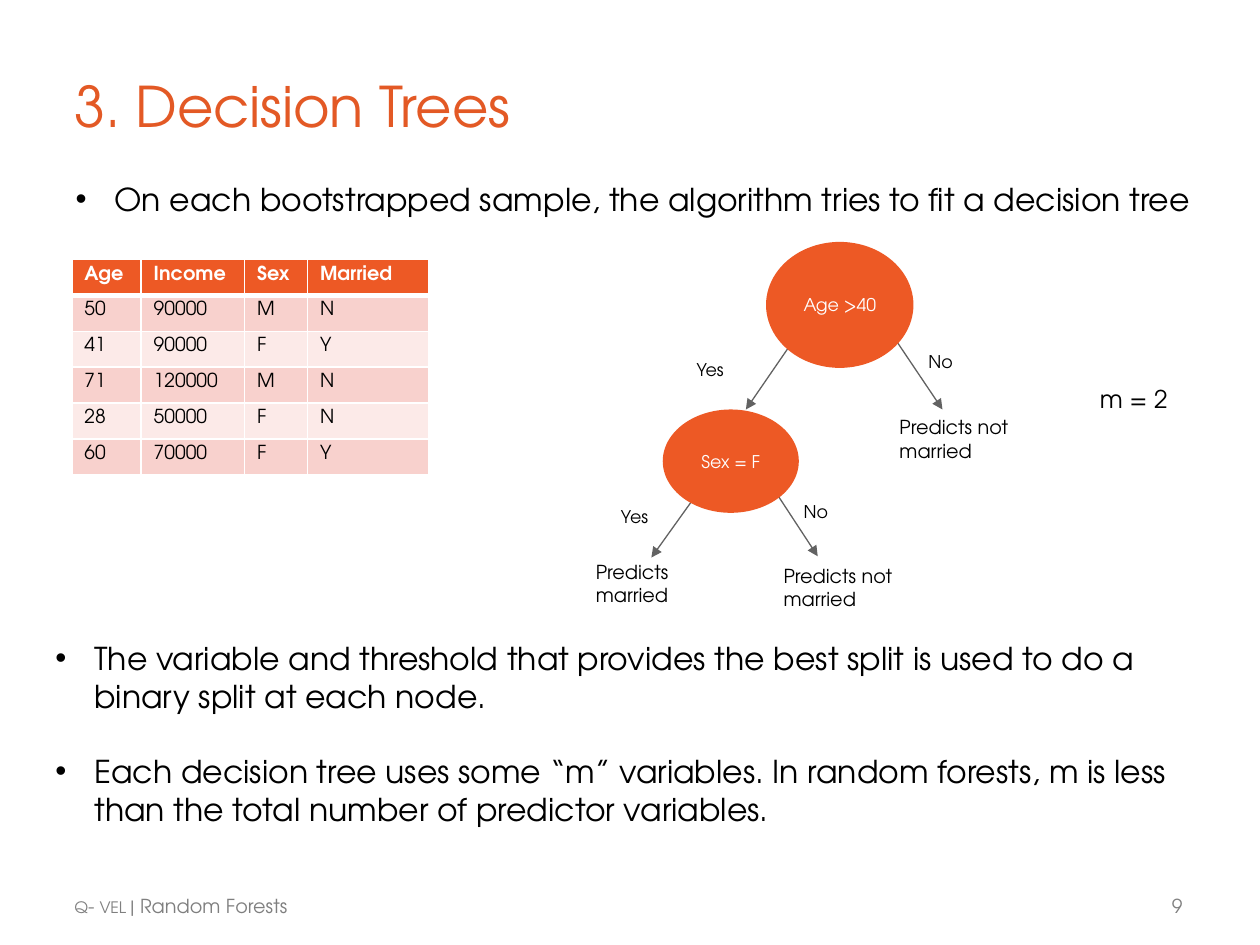
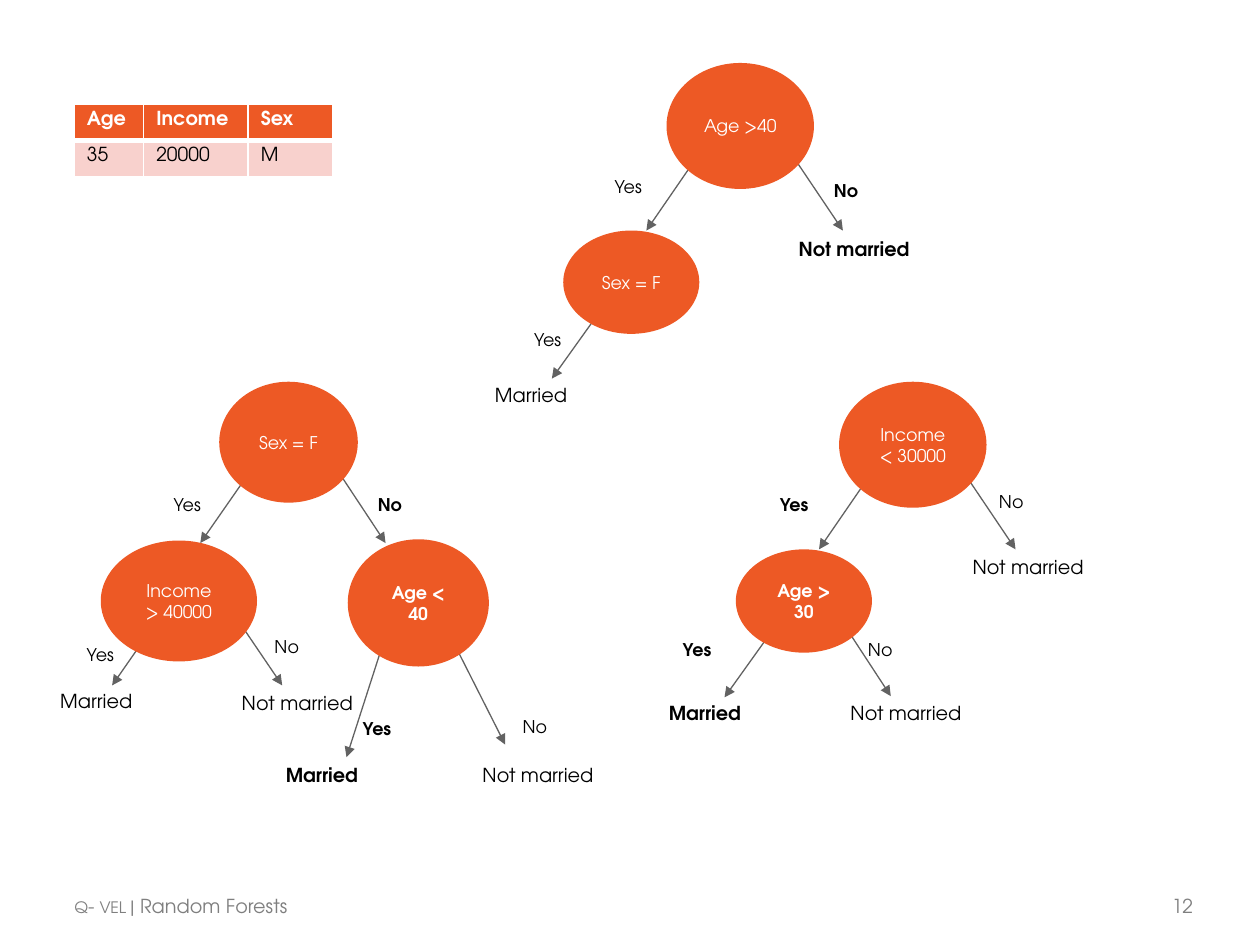
from lxml.etree import SubElement
from pptx import Presentation
from pptx.dml.color import RGBColor
from pptx.enum.shapes import MSO_CONNECTOR, MSO_SHAPE
from pptx.enum.text import MSO_ANCHOR, MSO_AUTO_SIZE, PP_ALIGN
from pptx.oxml import parse_xml
from pptx.oxml.ns import nsdecls, qn
from pptx.util import Inches, Pt

FONT = "TeX Gyre Adventor"
ORANGE = RGBColor(0xED, 0x59, 0x25)
TITLE_ORANGE = RGBColor(0xE3, 0x59, 0x25)
PINK = RGBColor(0xF8, 0xD1, 0xCD)
PALE_PINK = RGBColor(0xFC, 0xEA, 0xE8)
ARROW_GRAY = RGBColor(0x62, 0x62, 0x62)
FOOTER_GRAY = RGBColor(0x7F, 0x7F, 0x7F)
BLACK = RGBColor(0, 0, 0)
WHITE = RGBColor(0xFF, 0xFF, 0xFF)

COLUMNS, ROWS = 100, 75
TWO_LISTS, BLANK = 3, 6
ANSWER_SIZE, LEAF_SIZE = 10, 11
ROW_HEIGHT = 2.85


def write(paragraph, text, size=11, color=BLACK, bold=False, spacing=0):
    run = paragraph.add_run()
    run.text = text
    run.font.name = FONT
    run.font.size = Pt(size)
    run.font.bold = bold
    run.font.color.rgb = color
    if spacing:
        run.font._element.set("spc", str(spacing))


class Deck:
    def __init__(self):
        self.presentation = Presentation()
        self.presentation.slide_width = Inches(10)
        self.presentation.slide_height = Inches(7.5)
        self.column = self.presentation.slide_width / COLUMNS
        self.row = self.presentation.slide_height / ROWS
        self.slide = None

    def place(self, left, top, width, height):
        return (round(left * self.column), round(top * self.row),
                round(width * self.column), round(height * self.row))

    def new_slide(self, layout, number, number_width):
        self.slide = self.presentation.slides.add_slide(
            self.presentation.slide_layouts[layout])
        footer = self.text_box(5.9, 70.9, 21.2, 2, flush=True)
        for text, size, spacing in (("Q", 9, -10), ("- ", 11, -10),
                                    ("VEL ", 9, -10), ("| Random Forests", 11, 0)):
            write(footer, text, size=size, color=FOOTER_GRAY, spacing=spacing)
        page = self.text_box(93, 70.9, number_width, 2, flush=True)
        write(page, str(number), color=FOOTER_GRAY)

    def flush_frame(self, frame, top=0.01):
        frame.margin_left = frame.margin_right = frame.margin_bottom = 0
        frame.margin_top = Inches(top)

    def text_box(self, left, top, width, height, flush=False):
        shape = self.slide.shapes.add_textbox(*self.place(left, top, width, height))
        frame = shape.text_frame
        frame.word_wrap = True
        frame.auto_size = MSO_AUTO_SIZE.SHAPE_TO_FIT_TEXT
        if flush:
            self.flush_frame(frame)
            frame.paragraphs[0].space_before = Pt(1)
        return frame.paragraphs[0]

    def placeholder(self, index, left, top, width, height, inset):
        shape = self.slide.placeholders[index]
        shape.left, shape.top, shape.width, shape.height = self.place(
            left, top, width, height)
        frame = shape.text_frame
        self.flush_frame(frame, inset)
        frame.word_wrap = True
        frame.auto_size = MSO_AUTO_SIZE.NONE
        frame.vertical_anchor = MSO_ANCHOR.TOP
        return frame

    def title(self, text):
        frame = self.placeholder(0, 5.9, 5.6, 57.5, 5.5, 0.01)
        paragraph = frame.paragraphs[0]
        paragraph.alignment = PP_ALIGN.LEFT
        paragraph.space_before = Pt(1)
        write(paragraph, text, size=32, color=TITLE_ORANGE, spacing=-10)

    def bullets(self, index, left, top, height, items):
        frame = self.placeholder(index, left, top, 89.1, height, 0.18)
        for position, item in enumerate(items):
            paragraph = frame.add_paragraph() if position else frame.paragraphs[0]
            paragraph.space_before = Pt(21.5 if position else 0)
            properties = paragraph._p.get_or_add_pPr()
            properties.set("marL", str(Inches(0.31)))
            properties.set("indent", str(-Inches(0.31)))
            SubElement(properties, qn("a:buFont"), typeface="Arial")
            SubElement(properties, qn("a:buChar"), char="•")
            write(paragraph, item, size=18)

    def border(self, cell, top, bottom):
        properties = cell._tc.get_or_add_tcPr()
        sides = (("lnL", 1), ("lnR", 1), ("lnT", top), ("lnB", bottom))
        for position, (side, width) in enumerate(sides):
            properties.insert(position, parse_xml(
                f'<a:{side} {nsdecls("a")} w="{Pt(width)}"><a:solidFill>'
                f'<a:srgbClr val="{WHITE}"/></a:solidFill></a:{side}>'))

    def table(self, left, top, widths, records):
        shape = self.slide.shapes.add_table(
            len(records), len(widths),
            *self.place(left, top, sum(widths), ROW_HEIGHT * len(records)))
        table = shape.table
        table.horz_banding = False
        for column, width in zip(table.columns, widths):
            column.width = round(width * self.column)
        for index, record in enumerate(records):
            header = index == 0
            fill = ORANGE if header else PINK if index % 2 else PALE_PINK
            for cell, text in zip(table.rows[index].cells, record):
                cell.fill.solid()
                cell.fill.fore_color.rgb = fill
                self.border(cell, 3 if index == 1 else 1, 3 if header else 1)
                write(cell.text_frame.paragraphs[0], text,
                      color=WHITE if header else BLACK, bold=header)

    def arrow(self, start_x, start_y, end_x, end_y):
        start = self.place(start_x, start_y, 0, 0)[:2]
        end = self.place(end_x, end_y, 0, 0)[:2]
        connector = self.slide.shapes.add_connector(
            MSO_CONNECTOR.STRAIGHT, *start, *end)
        connector.line.color.rgb = ARROW_GRAY
        connector.line.width = Pt(0.75)
        SubElement(connector.line._get_or_add_ln(), qn("a:tailEnd"), type="triangle")
        SubElement(connector._element.spPr, qn("a:effectLst"))

    def node(self, text, left, top, width, height, bold=False, margin=1):
        shape = self.slide.shapes.add_shape(
            MSO_SHAPE.OVAL, *self.place(left, top, width, height))
        shape.shadow.inherit = False
        shape.fill.solid()
        shape.fill.fore_color.rgb = ORANGE
        shape.line.fill.background()
        frame = shape.text_frame
        frame.word_wrap = True
        frame.margin_left = frame.margin_right = round(margin * self.column)
        frame.vertical_anchor = MSO_ANCHOR.MIDDLE
        frame.paragraphs[0].alignment = PP_ALIGN.CENTER
        write(frame.paragraphs[0], text, size=ANSWER_SIZE, color=WHITE, bold=bold)

    def two_level_tree(self, left, top, root, child, child_bold=False, child_no=True):
        child_left, child_top = left - 8.2, top + 13.3
        self.arrow(left + 1.7, top + 8.5, left - 1.6, child_top)
        self.arrow(left + 10.1, top + 7.5, left + 14, child_top)
        self.arrow(child_left + 2.5, child_top + 7,
                   child_left - 0.9, child_top + 11.75)
        if child_no:
            self.arrow(child_left + 8.6, child_top + 6,
                       child_left + 12.3, child_top + 11.65)
        self.node(root, left, top, 11.7, 10)
        self.node(child, child_left, child_top, 10.8, 8.2, bold=child_bold)

    def labels(self, size, items):
        for text, left, top, width, *bold in items:
            paragraph = self.text_box(left, top, width, 2.8)
            write(paragraph, text, size=size, bold=bool(bold))


def build_decision_trees(deck):
    deck.new_slide(TWO_LISTS, 9, 1.1)
    deck.title("3. Decision Trees")
    deck.bullets(1, 6, 12.5, 4.8, [
        "On each bootstrapped sample, the algorithm tries to fit a decision tree"])
    deck.table(5.7, 20.6, (5.5, 8.2, 5, 9.6), [
        ("Age", "Income", "Sex", "Married"),
        ("50", "90000", "M", "N"),
        ("41", "90000", "F", "Y"),
        ("71", "120000", "M", "N"),
        ("28", "50000", "F", "N"),
        ("60", "70000", "F", "Y"),
    ])
    deck.two_level_tree(60.8, 19.2, "Age >40", "Sex = F")
    deck.labels(ANSWER_SIZE, [
        ("Yes", 54.3, 28, 7.4), ("No", 72.7, 27.4, 7.4),
        ("Yes", 48.3, 39.7, 6), ("No", 62.8, 39.3, 6),
    ])
    deck.labels(LEAF_SIZE, [
        ("Predicts married", 46.3, 44, 9.2),
        ("Predicts not married", 70.4, 32.5, 12.2),
        ("Predicts not married", 61.2, 44.3, 12.2),
    ])
    deck.labels(14, [("m = 2", 86.3, 30, 9.2)])
    deck.bullets(2, 4.4, 48.9, 16.9, [
        "The variable and threshold that provides the best split is used to do a "
        "binary split at each node.",
        "Each decision tree uses some “m” variables. In random forests, m is less "
        "than the total number of predictor variables.",
    ])


def build_forest_vote(deck):
    deck.new_slide(BLANK, 12, 2.8)
    deck.table(5.9, 8.3, (5.5, 8.3, 6.7), [
        ("Age", "Income", "Sex"), ("35", "20000", "M")])
    deck.two_level_tree(52.9, 5, "Age >40", "Sex = F", child_no=False)
    deck.two_level_tree(66.6, 30.3, "Income < 30000", "Age > 30", child_bold=True)

    for branch in ((19.1, 38.5, 15.9, 43.1), (26.9, 37.5, 30.6, 43.1),
                   (12.1, 49.8, 8.9, 54.4), (18.6, 48.8, 22.4, 54.4),
                   (30.3, 51.4, 27.5, 60.1), (36, 51, 40.1, 59.1)):
        deck.arrow(*branch)
    deck.node("Sex = F", 17.4, 30.3, 11, 9.6)
    deck.node("Income > 40000", 8, 42.9, 12.4, 9.6, margin=1.3)
    deck.node("Age < 40", 27.6, 42.8, 11.2, 10.1, bold=True)

    deck.labels(ANSWER_SIZE, [
        ("Yes", 47.8, 13.5, 6), ("No", 65.2, 13.8, 5.5, True),
        ("Yes", 41.4, 25.6, 4.9),
        ("Yes", 12.8, 38.7, 8.7), ("No", 29, 38.7, 5.1, True),
        ("Yes", 5.9, 50.6, 8.7), ("No", 20.8, 50, 5.1),
        ("Yes", 27.8, 56.5, 8.7, True), ("No", 40.5, 56.3, 5.1),
        ("Yes", 60.9, 38.7, 8.2, True), ("No", 78.3, 38.5, 5.5),
        ("Yes", 53.2, 50.2, 6.8, True), ("No", 67.9, 50.2, 5.2),
    ])
    deck.labels(LEAF_SIZE, [
        ("Not married", 62.4, 18.3, 12.2, True), ("Married", 38.3, 29.9, 9.2),
        ("Married", 3.8, 54.2, 8.6), ("Not married", 18.2, 54.4, 11.5),
        ("Married", 21.7, 60.1, 8.6, True), ("Not married", 37.3, 60.1, 11.5),
        ("Not married", 76.2, 43.6, 12.2), ("Married", 52.1, 55.2, 9.2, True),
        ("Not married", 66.5, 55.2, 11.5),
    ])


def main():
    deck = Deck()
    build_decision_trees(deck)
    build_forest_vote(deck)
    deck.presentation.save("out.pptx")


if __name__ == "__main__":
    main()
